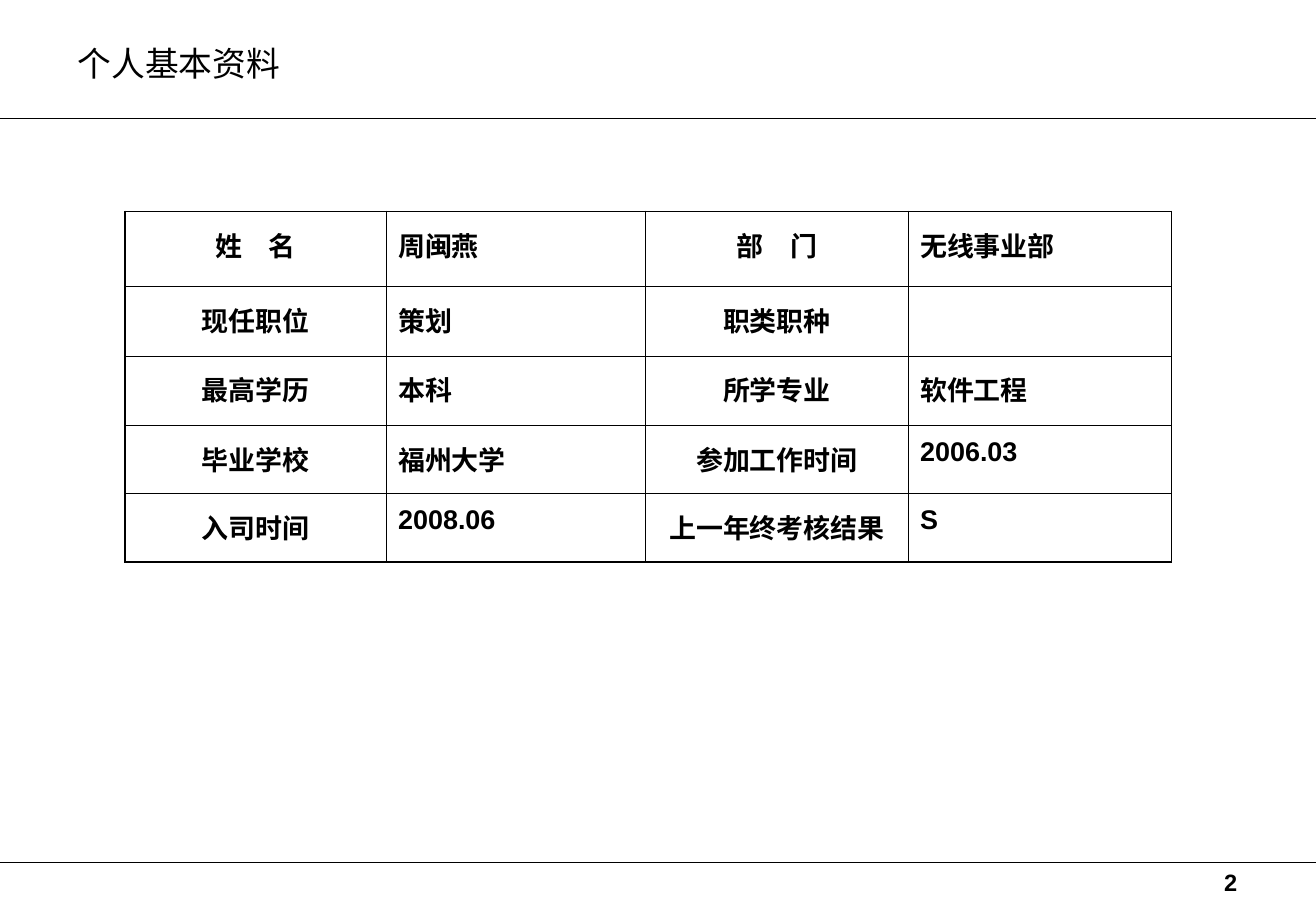
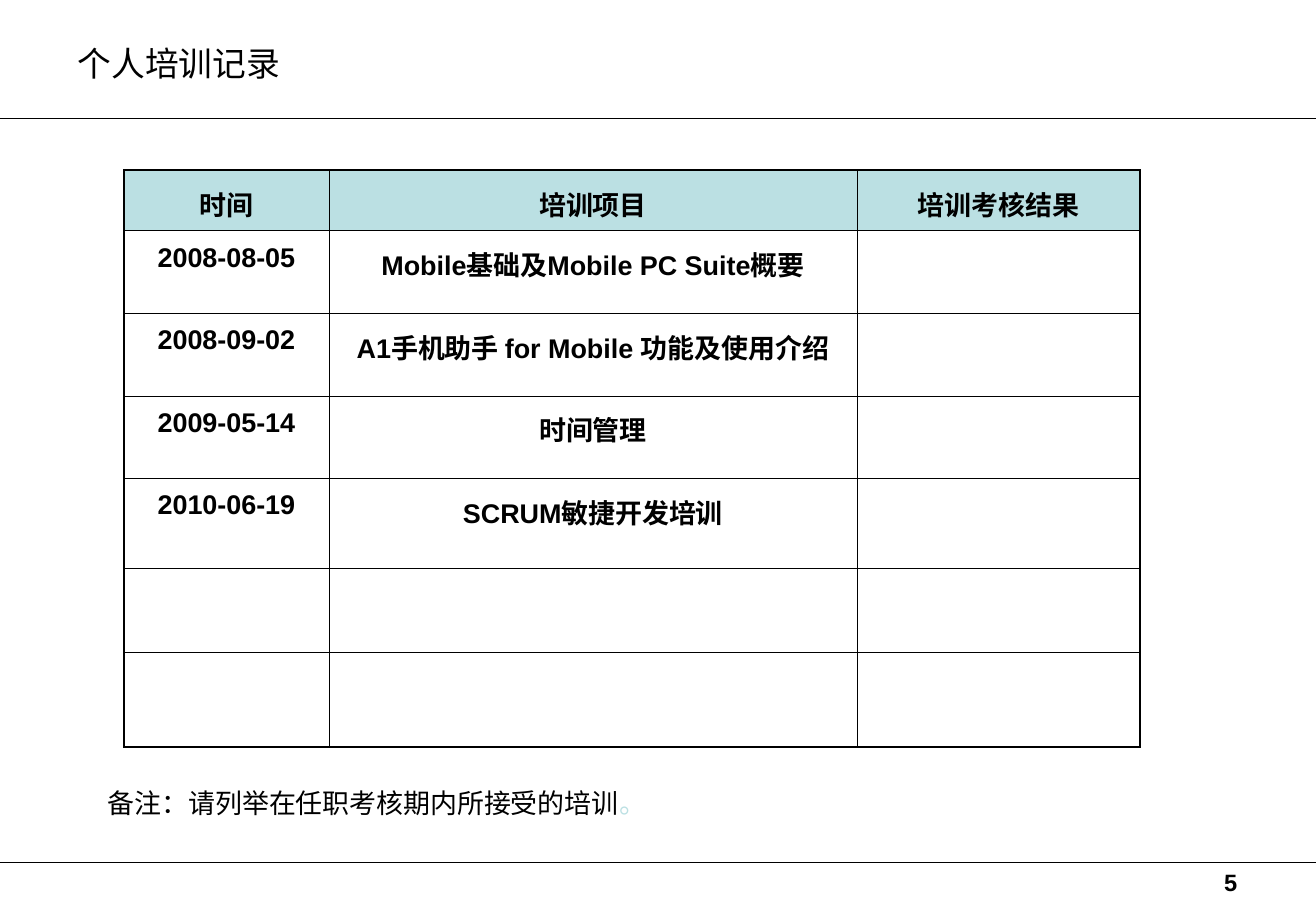
from lxml.etree import SubElement
from pptx import Presentation
from pptx.dml.color import RGBColor
from pptx.enum.shapes import MSO_CONNECTOR
from pptx.enum.text import MSO_ANCHOR, PP_ALIGN
from pptx.oxml.ns import qn
from pptx.util import Inches, Pt

BLACK, TEAL = "000000", "BBE0E3"
SANS, HAN = "Arial", "Noto Sans CJK SC"
LEFT, MID, RIGHT = PP_ALIGN.LEFT, PP_ALIGN.CENTER, PP_ALIGN.RIGHT
WIDE, TALL = 10.84, 7.5
THICK, THIN = 1.08, 0.45
CELL = {"line_spacing": 1.2, "space_before": Pt(2)}


def color(code):
    return RGBColor.from_string(code)


class Deck:
    title_font = {"size": Pt(20), "name": HAN, "bold": False}
    page_font = {"size": Pt(14), "name": SANS, "bold": True}
    cell_font = {"size": Pt(16), "name": SANS, "bold": True}
    note_font = {"size": Pt(16), "name": SANS, "bold": False}

    def __init__(self):
        self.show = Presentation()
        self.show.slide_width = Inches(WIDE)
        self.show.slide_height = Inches(TALL)
        self.slide = None

    def page(self, title, number):
        self.slide = self.show.slides.add_slide(self.show.slide_layouts[6])
        for y in (0.97, 7.1):
            self.rule(y)
        self.text((0.54, 0.3, 9.75, 0.47), [(title, BLACK)], self.title_font)
        self.text((9.67, 7.1, 0.62, 0.34), [(str(number), BLACK)],
                  self.page_font, {"alignment": RIGHT})

    def rule(self, y):
        line = self.slide.shapes.add_connector(
            MSO_CONNECTOR.STRAIGHT, 0, Inches(y), Inches(WIDE), Inches(y))
        line.line.color.rgb = color(BLACK)
        line.line.width = Pt(0.25)
        SubElement(line._element.spPr, qn("a:effectLst"))

    def put(self, para, parts, font, form):
        for key, value in form.items():
            setattr(para, key, value)
        for words, shade in parts:
            run = para.add_run()
            run.text = words
            for key, value in font.items():
                setattr(run.font, key, value)
            run.font.color.rgb = color(shade)
            SubElement(run._r.get_or_add_rPr(), qn("a:ea"), typeface=HAN)

    def text(self, place, parts, font, form={"alignment": LEFT}):
        box = self.slide.shapes.add_textbox(*map(Inches, place))
        frame = box.text_frame
        frame.word_wrap = True
        frame.vertical_anchor = MSO_ANCHOR.TOP
        self.put(frame.paragraphs[0], parts, font, form)

    def border(self, cell, widths):
        props = cell._tc.get_or_add_tcPr()
        for side, width in widths.items():
            line = SubElement(props, qn("a:ln" + side), w=str(Pt(width)))
            fill = SubElement(line, qn("a:solidFill"))
            SubElement(fill, qn("a:srgbClr"), val=BLACK)

    def table(self, left, top, cols, rows, data, aligns, head=None):
        grid = self.slide.shapes.add_table(
            len(rows), len(cols), Inches(left), Inches(top),
            Inches(sum(cols)), Inches(sum(rows))).table
        grid.first_row = grid.horz_banding = False
        for col, width in zip(grid.columns, cols):
            col.width = Inches(width)
        for row, height in zip(grid.rows, rows):
            row.height = Inches(height)
        for r in range(len(rows)):
            for c, align in enumerate(aligns):
                cell = grid.cell(r, c)
                edges = {"L": c == 0, "R": c == len(cols) - 1,
                         "T": r == 0, "B": r == len(rows) - 1}
                self.border(cell, {side: THICK if outer else THIN
                                   for side, outer in edges.items()})
                if head and r == 0:
                    cell.fill.solid()
                    cell.fill.fore_color.rgb = color(head)
                else:
                    cell.fill.background()
                words = data[r][c] if r < len(data) else ""
                if words:
                    self.put(cell.text_frame.paragraphs[0], [(words, BLACK)],
                             self.cell_font, {**CELL, "alignment": align})


def main():
    deck = Deck()

    deck.page("个人基本资料", 2)
    facts = [
        ("姓　名", "周闽燕", "部　门", "无线事业部"),
        ("现任职位", "策划", "职类职种", ""),
        ("最高学历", "本科", "所学专业", "软件工程"),
        ("毕业学校", "福州大学", "参加工作时间", "2006.03"),
        ("入司时间", "2008.06", "上一年终考核结果", "S"),
    ]
    deck.table(1.03, 1.74, (2.15, 2.14, 2.16, 2.17),
               (0.62, 0.57, 0.57, 0.56, 0.57), facts,
               (MID, LEFT, MID, LEFT))

    deck.page("个人培训记录", 5)
    courses = [
        ("时间", "培训项目", "培训考核结果"),
        ("2008-08-05", "Mobile基础及Mobile PC Suite概要", ""),
        ("2008-09-02", "A1手机助手 for Mobile 功能及使用介绍", ""),
        ("2009-05-14", "时间管理", ""),
        ("2010-06-19", "SCRUM敏捷开发培训", ""),
    ]
    deck.table(1.02, 1.4, (1.69, 4.35, 2.33),
               (0.5, 0.68, 0.68, 0.68, 0.74, 0.69, 0.78), courses,
               (MID, MID, MID), TEAL)
    deck.text((0.79, 6.43, 5.54, 0.37),
              [("备注：请列举在任职考核期内所接受的培训", BLACK), ("。", TEAL)],
              deck.note_font, {"alignment": LEFT, "space_before": Pt(10)})

    deck.show.save("out.pptx")


if __name__ == "__main__":
    main()
